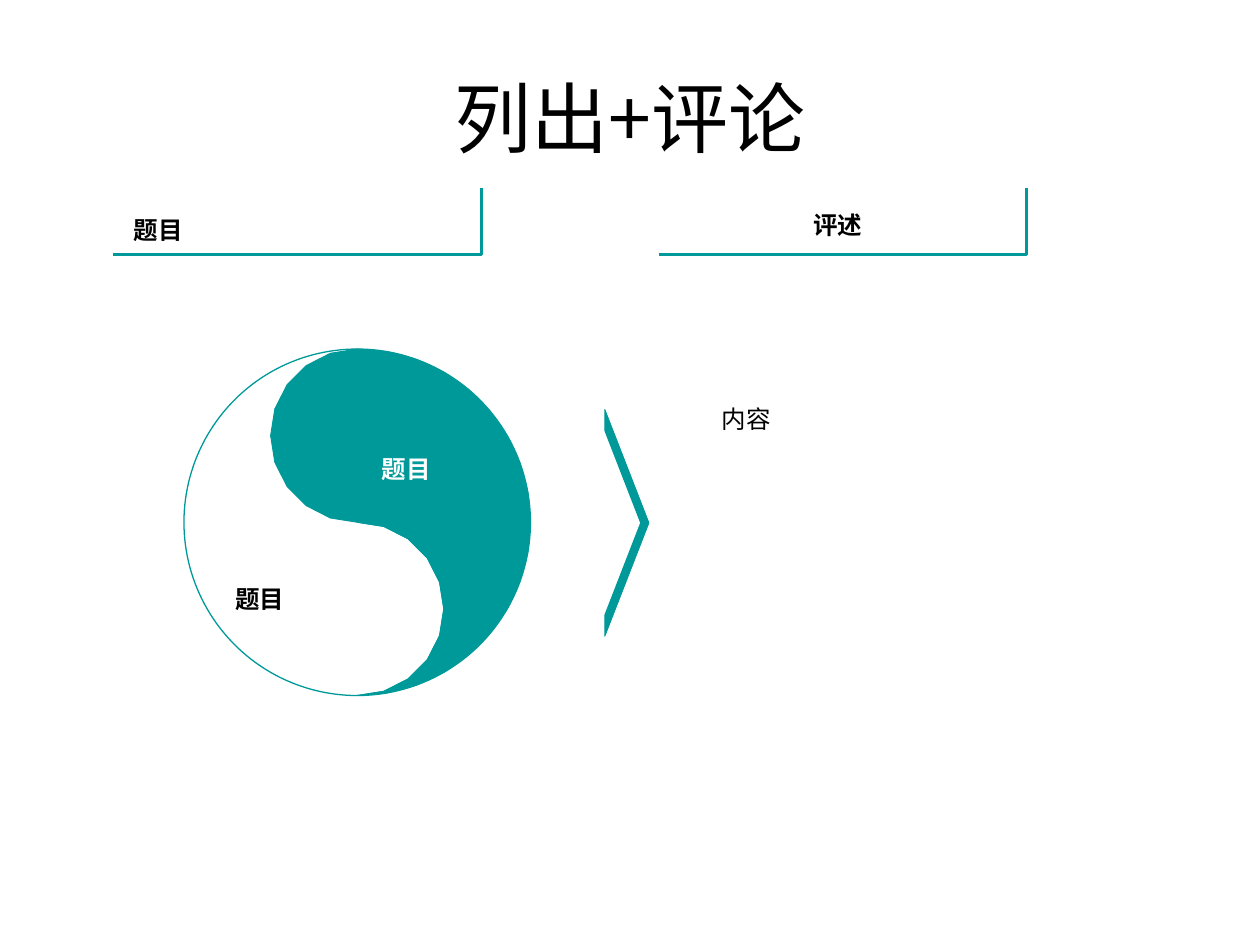
from math import cos, radians, sin

from lxml import etree
from pptx import Presentation
from pptx.dml.color import RGBColor
from pptx.enum.shapes import MSO_SHAPE as Shape
from pptx.enum.text import MSO_ANCHOR as Anchor, MSO_AUTO_SIZE as AutoSize, PP_ALIGN as Align
from pptx.oxml.ns import qn
from pptx.util import Inches, Pt

TEAL = RGBColor(0x00, 0x99, 0x99)
WHITE = RGBColor(0xFF, 0xFF, 0xFF)
BLACK = RGBColor(0x00, 0x00, 0x00)
LATIN_FONT = "Arial"
CHINESE_FONT = "Noto Sans CJK SC"


def style(shape, fill=None, line=None, width=0.5):
    shape.shadow.inherit = False
    if fill is None:
        shape.fill.background()
    else:
        shape.fill.solid()
        shape.fill.fore_color.rgb = fill
    if line is None:
        shape.line.fill.background()
    else:
        shape.line.color.rgb = line
        shape.line.width = Pt(width)


def write(shape, text, size=14, color=BLACK, bold=False, align=Align.LEFT,
          spacing=1.2, font=LATIN_FONT):
    frame = shape.text_frame
    frame.word_wrap = True
    frame.vertical_anchor = Anchor.TOP
    frame.auto_size = AutoSize.SHAPE_TO_FIT_TEXT
    frame.text = text
    paragraph = frame.paragraphs[0]
    paragraph.alignment = align
    paragraph.line_spacing = spacing
    run = paragraph.runs[0]
    run.font.name = font
    run.font.size = Pt(size)
    run.font.bold = bold
    run.font.color.rgb = color
    east_asian = etree.SubElement(run.font._element, qn("a:ea"))
    east_asian.set("typeface", CHINESE_FONT)
    return frame


def add_text(slide, left, top, width, height, text, **options):
    box = slide.shapes.add_textbox(Inches(left), Inches(top), Inches(width), Inches(height))
    return write(box, text, **options)


def add_outline(slide, points, close):
    points = [(Inches(x), Inches(y)) for x, y in points]
    builder = slide.shapes.build_freeform(*points[0])
    builder.add_line_segments(points[1:], close=close)
    return builder.convert_to_shape()


def arc(center_x, center_y, radius, start, end, steps):
    """Points on a circle; angles in degrees, clockwise from the right."""
    angles = [radians(start + (end - start) * i / steps) for i in range(steps + 1)]
    return [(center_x + radius * cos(a), center_y + radius * sin(a)) for a in angles]


def add_title(slide, left, top, width, height):
    frame = add_text(slide, left, top, width, height, "列出+评论", size=44,
                     align=Align.CENTER, spacing=1.0, font=CHINESE_FONT)
    frame.auto_size = AutoSize.NONE
    frame.vertical_anchor = Anchor.MIDDLE


def add_header_label(slide, left, top, width, height, text, align):
    label = slide.shapes.add_shape(Shape.RECTANGLE, Inches(left), Inches(top),
                                   Inches(width), Inches(height))
    style(label, fill=WHITE)
    frame = write(label, text, bold=True, align=align)
    frame.margin_left = frame.margin_right = frame.margin_top = frame.margin_bottom = 0


def add_header_corner(slide, left, top, width, height):
    right, bottom = left + width, top + height
    corner = add_outline(slide, [(right, top), (right, bottom), (left, bottom)], close=False)
    style(corner, line=TEAL, width=1.75)


def add_yin_yang(slide, left, top, size):
    radius = size / 2
    center_x, center_y = left + radius, top + radius
    # Dark half: outer right arc, lower lobe, upper lobe
    outer = arc(center_x, center_y, radius, -90, 90, 18)
    lower = arc(center_x, center_y + radius / 2, radius / 2, 90, -90, 10)
    upper = arc(center_x, center_y - radius / 2, radius / 2, 90, 270, 10)
    dark_half = add_outline(slide, outer + lower[1:] + upper[1:-1], close=True)
    style(dark_half, TEAL, TEAL)
    # Circle
    circle = slide.shapes.add_shape(Shape.OVAL, Inches(left), Inches(top),
                                    Inches(size), Inches(size))
    style(circle, line=TEAL, width=0.75)
    # Edge of the light lobe
    style(add_outline(slide, lower, close=False), line=TEAL)
    # Labels
    add_text(slide, left + 0.31, top + 1.77, 1.42, 0.38, "题目", bold=True)
    add_text(slide, left + 0.94, top + 0.74, 1.65, 0.38, "题目", bold=True,
             color=WHITE, align=Align.CENTER)


def add_comment(slide, left, top, width, height):
    # Chevron, then the comment text
    arrow = slide.shapes.add_shape(Shape.NOTCHED_RIGHT_ARROW, Inches(left), Inches(top),
                                   Inches(0.35), Inches(height))
    arrow.adjustments[0] = 0.814
    arrow.adjustments[1] = 1.0
    style(arrow, TEAL, TEAL)
    text_left = left + 0.83
    add_text(slide, text_left, top - 0.21, left + width - text_left, 0.45, "内容", spacing=1.5)


def main():
    presentation = Presentation()
    presentation.slide_width = Inches(10)
    presentation.slide_height = Inches(7.5)
    slide = presentation.slides.add_slide(presentation.slide_layouts[6])

    add_header_label(slide, 1.06, 1.66, 2.76, 0.28, "题目", Align.LEFT)
    add_yin_yang(slide, 1.46, 2.77, 2.75)
    add_header_label(slide, 5.31, 1.62, 2.68, 0.28, "评述", Align.CENTER)
    add_comment(slide, 4.8, 3.25, 4.45, 1.8)
    for left in (0.9, 5.23):
        add_header_corner(slide, left, 1.49, 2.92, 0.53)
    add_title(slide, 0.5, 0.3, 9, 1.25)

    presentation.save("out.pptx")


if __name__ == "__main__":
    main()
